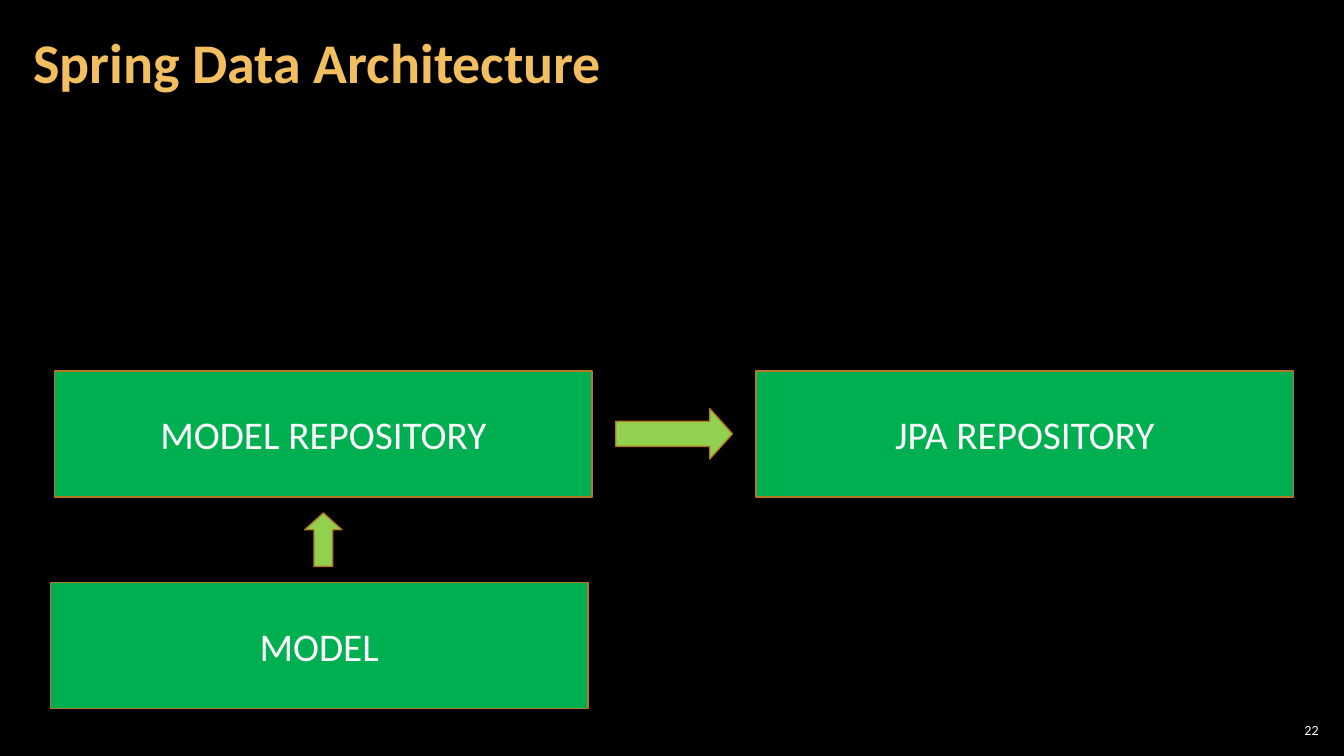
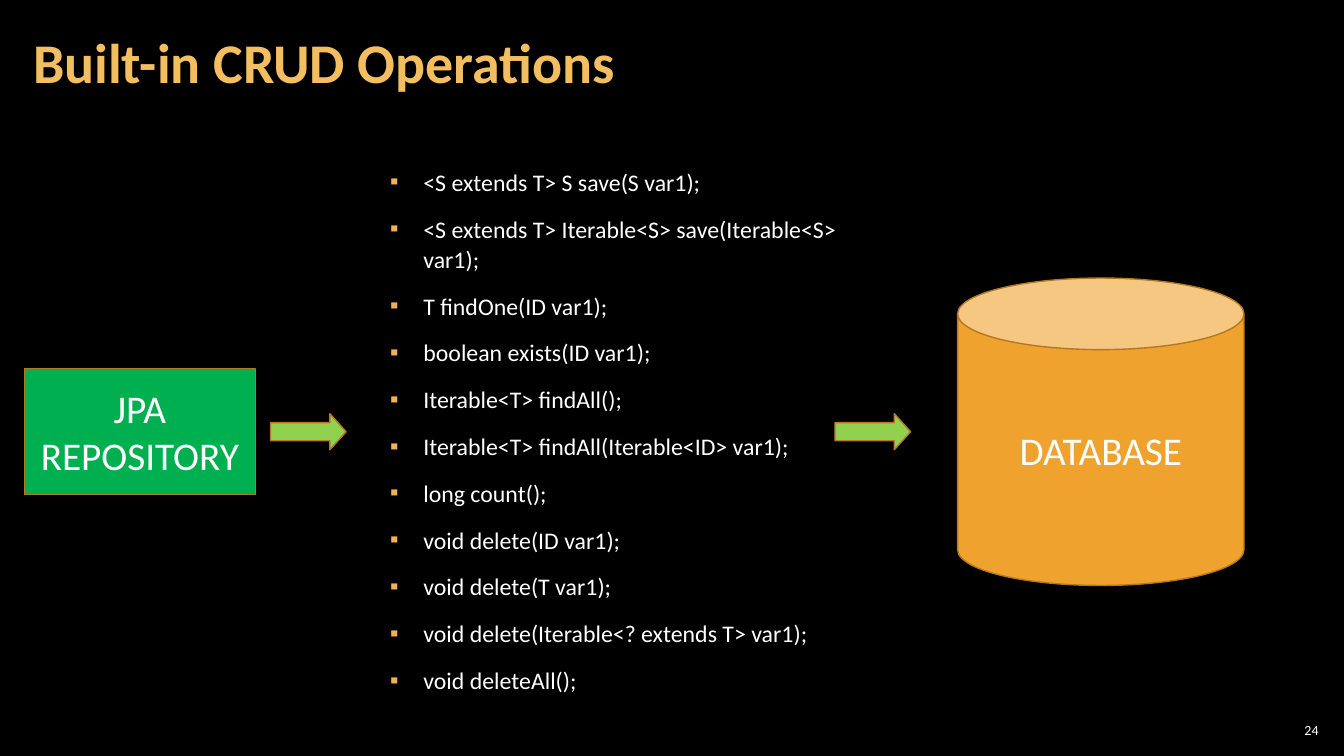
from lxml.etree import SubElement
from pptx import Presentation
from pptx.dml.color import RGBColor
from pptx.enum.shapes import MSO_SHAPE as Preset
from pptx.enum.text import MSO_ANCHOR as Anchor, PP_ALIGN as Align
from pptx.oxml.ns import qn
from pptx.util import Inches, Pt

# Shared look
FONT = "Calibri"
BLACK, WHITE = "000000", "FFFFFF"
TITLE_GOLD, BULLET_GOLD = "F3BE60", "F2B254"
BOX_GREEN, ARROW_GREEN = "00B050", "92D050"
DATABASE_ORANGE, OUTLINE = "F0A22E", "B27822"
BULLET_INDENT = Inches(0.33)

# Grid of 32 columns by 18 rows
presentation = Presentation()
presentation.slide_width, presentation.slide_height = Inches(13.33), Inches(7.5)
COLUMN = presentation.slide_width / 32
ROW = presentation.slide_height / 18


def color(hex_string):
    return RGBColor.from_string(hex_string)


def add_item(slide, place, text="", preset=None, fill=BOX_GREEN, size=28,
             ink=WHITE, bold=False, align=Align.CENTER, anchor=Anchor.MIDDLE,
             insets=(0.1, 0.05), line_spacing=1.0, gap=0, bullet=None):
    """Place text in grid units, in a preset shape if one is named."""
    left, top, width, height = place
    box = [int(left * COLUMN), int(top * ROW), int(width * COLUMN), int(height * ROW)]
    if preset is None:
        shape = slide.shapes.add_textbox(*box)
    else:
        shape = slide.shapes.add_shape(preset, *box)
        shape.shadow.inherit = False
        shape.fill.solid()
        shape.fill.fore_color.rgb = color(fill)
        shape.line.color.rgb = color(OUTLINE)
        shape.line.width = Pt(1)
    if not text:
        return shape

    frame = shape.text_frame
    frame.word_wrap = True
    frame.vertical_anchor = anchor
    frame.margin_left = frame.margin_right = Inches(insets[0])
    frame.margin_top = frame.margin_bottom = Inches(insets[1])
    for index, line in enumerate(text.split("\n")):
        paragraph = frame.add_paragraph() if index else frame.paragraphs[0]
        if bullet:
            properties = paragraph._p.get_or_add_pPr()
            properties.set("marL", str(BULLET_INDENT))
            properties.set("indent", str(-BULLET_INDENT))
            bullet_color = SubElement(properties, qn("a:buClr"))
            SubElement(bullet_color, qn("a:srgbClr"), val=BULLET_GOLD)
            SubElement(properties, qn("a:buFont"), typeface=FONT)
            SubElement(properties, qn("a:buChar"), char=bullet)
        paragraph.alignment = align
        paragraph.line_spacing = line_spacing
        paragraph.space_before = Pt(gap if index else 0)
        paragraph.space_after = Pt(gap)
        run = paragraph.add_run()
        run.text = line
        run.font.name, run.font.size, run.font.bold = FONT, Pt(size), bold
        run.font.color.rgb = color(ink)
    return shape


# Background, page number and title of every slide
slides = []
for title, number in (("Spring Data Architecture", "22"),
                      ("Built-in CRUD Operations", "24")):
    slide = presentation.slides.add_slide(presentation.slide_layouts[6])
    slide.background.fill.solid()
    slide.background.fill.fore_color.rgb = color(BLACK)
    add_item(slide, (30.36, 17.14, 1.13, 0.5), number, size=10,
             align=Align.RIGHT, insets=(0.04, 0.04))
    add_item(slide, (0.5, 0.1, 25.13, 2.9), title, size=40, ink=TITLE_GOLD,
             bold=True, align=Align.LEFT, insets=(0.12, 0.04), line_spacing=0.9)
    slides.append(slide)
architecture, operations = slides

# Architecture: three boxes
box_width, box_height = 12.8, 3
repository_left, jpa_left = 1.3, 18
repository_top, model_top = 8.83, 13.87
for left, top, label in ((repository_left, repository_top, "MODEL REPOSITORY"),
                         (1.2, model_top, "MODEL"),
                         (jpa_left, repository_top, "JPA REPOSITORY")):
    add_item(architecture, (left, top, box_width, box_height), label, Preset.RECTANGLE)

# Operations: repository, method list and database on one middle row
middle = 10.28
methods = """<S extends T> S save(S var1);
<S extends T> Iterable<S> save(Iterable<S> var1);
T findOne(ID var1);
boolean exists(ID var1);
Iterable<T> findAll();
Iterable<T> findAll(Iterable<ID> var1);
long count();
void delete(ID var1);
void delete(T var1);
void delete(Iterable<? extends T> var1);
void deleteAll();"""
database_height = 7.32
add_item(operations, (9, 3.86, 12.19, 12.82), methods, size=17, align=Align.LEFT,
         anchor=Anchor.TOP, insets=(0.12, 0.04), line_spacing=1.05, gap=6, bullet="▪")
add_item(operations, (22.8, middle - database_height / 2, 6.82, database_height),
         "DATABASE", Preset.CAN, fill=DATABASE_ORANGE)
add_item(operations, (0.58, middle - box_height / 2, 5.5, box_height),
         "JPA REPOSITORY", Preset.RECTANGLE)

# Block arrows, each given by its centre and size
gap_column = (repository_left + box_width + jpa_left) / 2
gap_row = (repository_top + box_height + model_top) / 2
for slide, preset, center_x, center_y, width, height in (
        (architecture, Preset.RIGHT_ARROW, gap_column,
         repository_top + box_height / 2, 2.78, 1.2),
        (architecture, Preset.UP_ARROW, repository_left + box_width / 2,
         gap_row, 0.89, 1.27),
        (operations, Preset.RIGHT_ARROW, 7.34, middle, 1.8, 0.86),
        (operations, Preset.RIGHT_ARROW, 20.78, middle, 1.8, 0.86)):
    arrow = add_item(slide, (center_x - width / 2, center_y - height / 2, width, height),
                     preset=preset, fill=ARROW_GREEN)
    arrow.adjustments[1] = 0.45

presentation.save("out.pptx")
